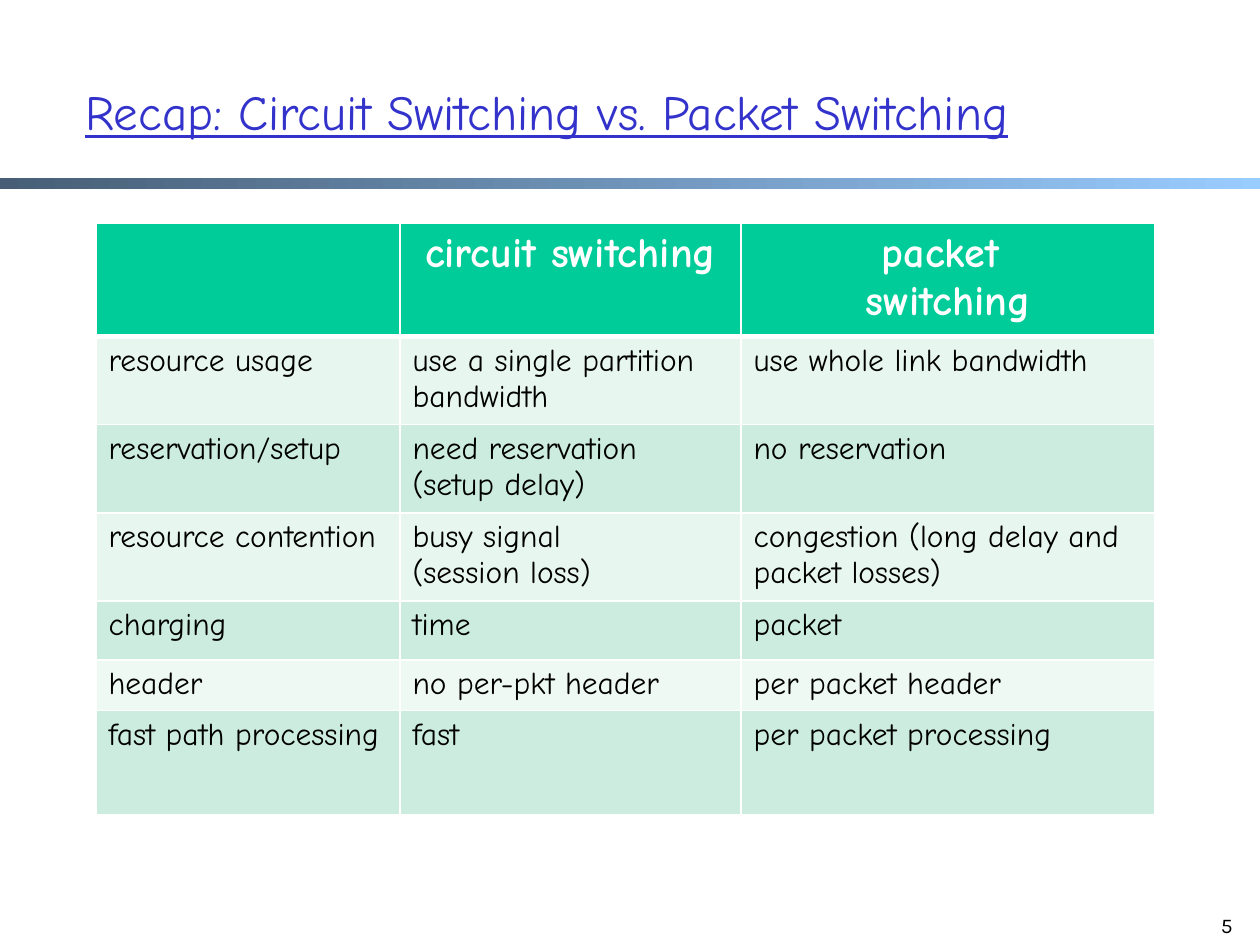
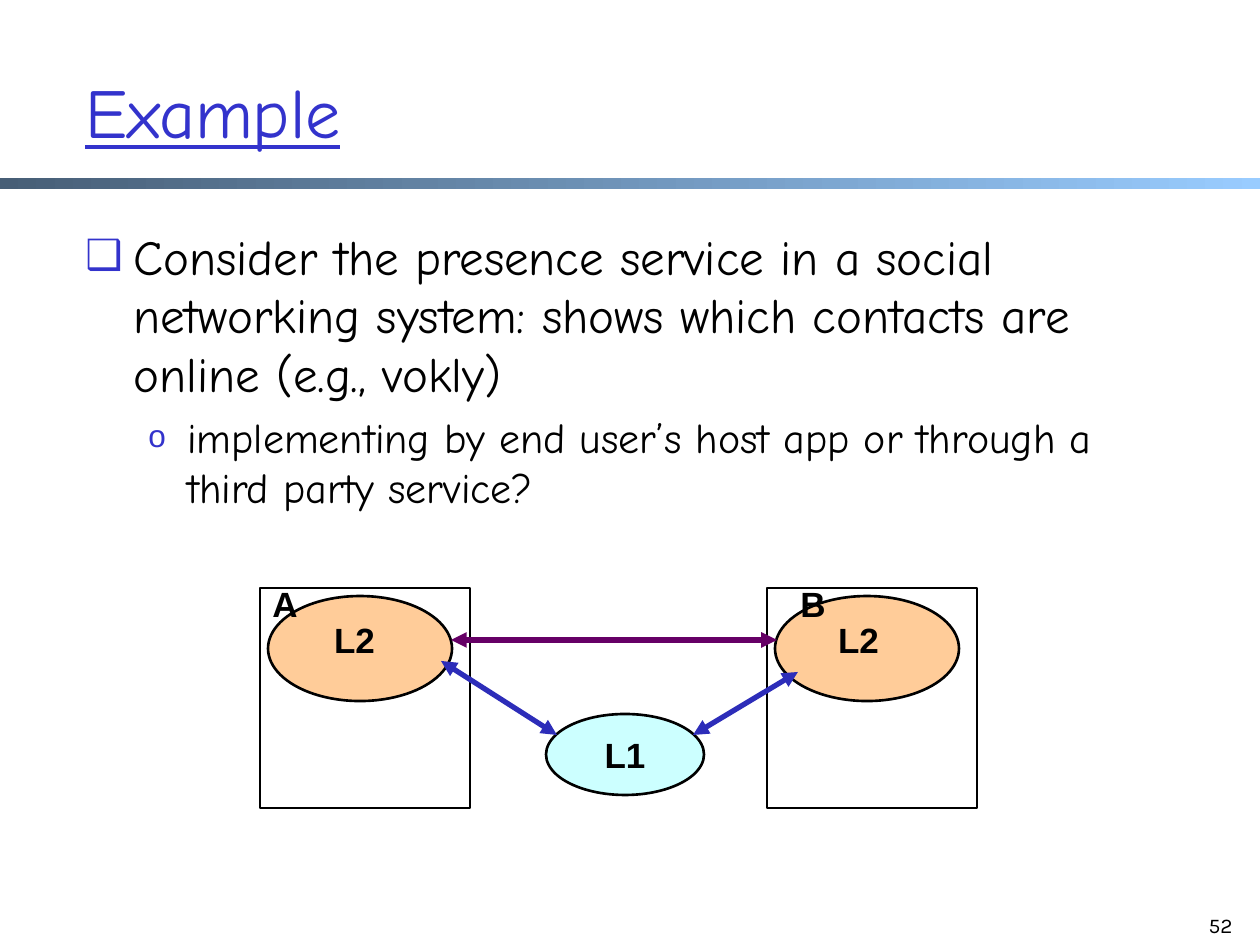
from dataclasses import dataclass

import pptx
import pptx.dml.color
import pptx.enum.shapes
import pptx.enum.text
import pptx.oxml.ns
import pptx.presentation
import pptx.shapes.autoshape
import pptx.slide
import pptx.table
import pptx.text.text
import pptx.util
from lxml import etree

RGB = pptx.dml.color.RGBColor
SHAPES = pptx.enum.shapes.MSO_SHAPE
ALIGN = pptx.enum.text.PP_ALIGN
ANCHOR = pptx.enum.text.MSO_ANCHOR
qn = pptx.oxml.ns.qn

EMU_PER_PX = 914400 / 126

BLACK = RGB(0x00, 0x00, 0x00)
WHITE = RGB(0xFF, 0xFF, 0xFF)
ACCENT = RGB(0x33, 0x33, 0xCC)
BAND_DARK = RGB(0x47, 0x5E, 0x76)
BAND_LIGHT = RGB(0x99, 0xCC, 0xFF)
HEADER_GREEN = RGB(0x00, 0xCC, 0x99)
PALE = RGB(0xE7, 0xF6, 0xEF)
MINT = RGB(0xCB, 0xEC, 0xDE)
PALEST = RGB(0xEE, 0xF9, 0xF4)
PEACH = RGB(0xFF, 0xCC, 0x99)
AQUA = RGB(0xCC, 0xFF, 0xFF)
LINK_BLUE = RGB(0x2D, 0x2D, 0xB9)
LINK_PURPLE = RGB(0x66, 0x00, 0x66)


@dataclass(frozen=True)
class Style:
    font: str
    size: int
    color: RGB = BLACK
    bold: bool = False
    underline: bool = False


@dataclass(frozen=True)
class Box:
    left: int
    top: int
    width: int
    height: int

    def shifted(self, dx: int) -> "Box":
        return Box(self.left + dx, self.top, self.width, self.height)

    def emu(self) -> tuple:
        return px(self.left), px(self.top), px(self.width), px(self.height)


@dataclass(frozen=True)
class Row:
    height: int
    fill: RGB
    texts: tuple


@dataclass(frozen=True)
class Bullet:
    text: str
    mark: str
    mark_percent: int
    size: int
    margin: int
    hang: int
    space_before: int


@dataclass(frozen=True)
class Host:
    name: str
    dx: int
    name_left: int
    layer_left: int


@dataclass(frozen=True)
class Link:
    start: tuple
    end: tuple
    color: RGB


HEADING = Style("Comic Neue", 24, WHITE, bold=True)
CELL = Style("Comic Neue", 18)
NODE = Style("Arial", 20, bold=True)
PAGE = Style("Karla", 12)

BAND_BOX = Box(0, 178, 1260, 11)
TITLE_BOX = Box(73, 32, 1071, 157)
PAGE_BOX = Box(1182, 906, 63, 38)
BODY_BOX = Box(73, 220, 1071, 640)
TABLE_LEFT, TABLE_TOP = 96, 223
COLUMN_WIDTHS = (304, 341, 414)

COMPARISON = (
    Row(113, HEADER_GREEN, ("", "circuit switching", "packet \nswitching")),
    Row(88, PALE, ("resource usage", "use a single partition bandwidth",
                   "use whole link bandwidth")),
    Row(88, MINT, ("reservation/setup", "need reservation \n(setup delay)",
                   "no reservation")),
    Row(88, PALE, ("resource contention", "busy signal \n(session loss)",
                   "congestion (long delay and packet losses)")),
    Row(59, MINT, ("charging", "time", "packet")),
    Row(50, PALEST, ("header", "no per-pkt header", "per packet header")),
    Row(104, MINT, ("fast path processing", "fast", "per packet processing")),
)

BULLETS = (
    Bullet("Consider the presence service in a social networking system: "
           "shows which contacts are online (e.g., vokly)",
           "❑", 85, 28, 48, 48, 0),
    Bullet("implementing by end user’s host app or through a third party service?",
           "o", 75, 24, 102, 39, 5),
)

HOST_BOX = Box(260, 588, 210, 220)
UPPER_LAYER_BOX = Box(268, 596, 184, 105)
LOWER_LAYER_BOX = Box(546, 714, 158, 81)
HOSTS = (Host("A", 0, 246, 301), Host("B", 507, 774, 805))
LINKS = (
    Link((441, 661), (557, 735), LINK_BLUE),
    Link((798, 672), (693, 735), LINK_BLUE),
    Link((451, 640), (777, 640), LINK_PURPLE),
)


def px(length: int) -> pptx.util.Emu:
    return pptx.util.Emu(round(length * EMU_PER_PX))


def write(paragraph: pptx.text.text._Paragraph, text: str, style: Style) -> None:
    """Add text as runs, with a line break at each newline."""
    for number, line in enumerate(text.split("\n")):
        if number:
            paragraph.add_line_break()
        run = paragraph.add_run()
        run.text = line
        run.font.name = style.font
        run.font.size = pptx.util.Pt(style.size)
        run.font.color.rgb = style.color
        run.font.bold = style.bold
        run.font.underline = style.underline


def add_text(slide: pptx.slide.Slide, box: Box, text: str, style: Style,
             align: ALIGN = ALIGN.LEFT, anchor: ANCHOR = ANCHOR.TOP) -> None:
    frame = slide.shapes.add_textbox(*box.emu()).text_frame
    frame.word_wrap = True
    frame.vertical_anchor = anchor
    frame.paragraphs[0].alignment = align
    write(frame.paragraphs[0], text, style)


def add_band(slide: pptx.slide.Slide) -> None:
    band = slide.shapes.add_shape(SHAPES.RECTANGLE, *BAND_BOX.emu())
    band.shadow.inherit = False
    band.line.fill.background()
    band.fill.gradient()
    band.fill.gradient_angle = 0
    for stop, color, position in zip(band.fill.gradient_stops,
                                     (BAND_DARK, BAND_LIGHT), (0, 1)):
        stop.color.rgb = color
        stop.position = position


def add_slide(deck: pptx.presentation.Presentation, title: str, title_size: int,
              page: int) -> pptx.slide.Slide:
    """Add a slide with the shared band, title and page number."""
    slide = deck.slides.add_slide(deck.slide_layouts[6])
    add_band(slide)
    add_text(slide, TITLE_BOX, title,
             Style("Comic Neue", title_size, ACCENT, underline=True),
             anchor=ANCHOR.MIDDLE)
    add_text(slide, PAGE_BOX, str(page), PAGE, ALIGN.RIGHT)
    return slide


def add_borders(cell: pptx.table._Cell, top: int, bottom: int) -> None:
    """Draw white borders, with top and bottom widths in points."""
    properties = cell._tc.get_or_add_tcPr()
    for side, points in (("L", 1), ("R", 1), ("T", top), ("B", bottom)):
        border = etree.SubElement(properties, qn(f"a:ln{side}"),
                                  w=str(pptx.util.Pt(points)))
        fill = etree.SubElement(border, qn("a:solidFill"))
        etree.SubElement(fill, qn("a:srgbClr"), val=str(WHITE))


def add_comparison(slide: pptx.slide.Slide) -> None:
    box = Box(TABLE_LEFT, TABLE_TOP, sum(COLUMN_WIDTHS),
              sum(row.height for row in COMPARISON))
    table = slide.shapes.add_table(len(COMPARISON), len(COLUMN_WIDTHS),
                                   *box.emu()).table
    table.horz_banding = False
    for column, width in zip(table.columns, COLUMN_WIDTHS):
        column.width = px(width)
    for index, row in enumerate(COMPARISON):
        table.rows[index].height = px(row.height)
        heading = index == 0
        for column, text in enumerate(row.texts):
            cell = table.cell(index, column)
            add_borders(cell, 3 if index == 1 else 1, 3 if heading else 1)
            cell.fill.solid()
            cell.fill.fore_color.rgb = row.fill
            if text:
                paragraph = cell.text_frame.paragraphs[0]
                paragraph.alignment = ALIGN.CENTER if heading else ALIGN.LEFT
                write(paragraph, text, HEADING if heading else CELL)


def add_bullets(slide: pptx.slide.Slide) -> None:
    frame = slide.shapes.add_textbox(*BODY_BOX.emu()).text_frame
    frame.word_wrap = True
    for index, bullet in enumerate(BULLETS):
        paragraph = frame.add_paragraph() if index else frame.paragraphs[0]
        properties = paragraph._p.get_or_add_pPr()
        properties.set("marL", str(px(bullet.margin)))
        properties.set("indent", str(-px(bullet.hang)))
        properties.set("lvl", str(index))
        color = etree.SubElement(properties, qn("a:buClr"))
        etree.SubElement(color, qn("a:srgbClr"), val=str(ACCENT))
        etree.SubElement(properties, qn("a:buSzPct"),
                         val=str(bullet.mark_percent * 1000))
        etree.SubElement(properties, qn("a:buFont"), typeface="Arial")
        etree.SubElement(properties, qn("a:buChar"), char=bullet.mark)
        paragraph.space_before = pptx.util.Pt(bullet.space_before)
        write(paragraph, bullet.text, Style("Comic Neue", bullet.size))


def add_outline(slide: pptx.slide.Slide, kind: SHAPES, box: Box,
                fill: RGB | None = None) -> pptx.shapes.autoshape.Shape:
    """Add a black-edged shape, unfilled unless a fill is given."""
    shape = slide.shapes.add_shape(kind, *box.emu())
    shape.shadow.inherit = False
    shape.line.color.rgb = BLACK
    shape.line.width = pptx.util.Pt(1.5)
    if fill is None:
        shape.fill.background()
    else:
        shape.fill.solid()
        shape.fill.fore_color.rgb = fill
    return shape


def add_link(slide: pptx.slide.Slide, link: Link) -> None:
    """Add a line with an arrowhead at both ends."""
    connector = slide.shapes.add_connector(
        pptx.enum.shapes.MSO_CONNECTOR.STRAIGHT,
        *(px(length) for length in link.start + link.end))
    connector.line.color.rgb = link.color
    connector.line.width = pptx.util.Pt(3)
    properties = connector.element.spPr
    for end in ("a:headEnd", "a:tailEnd"):
        etree.SubElement(properties.find(qn("a:ln")), qn(end), type="triangle")
    etree.SubElement(properties, qn("a:effectLst"))


def add_layers(slide: pptx.slide.Slide) -> None:
    """Draw two hosts joined directly and through the lower layer."""
    for host in HOSTS:
        add_outline(slide, SHAPES.OVAL, UPPER_LAYER_BOX.shifted(host.dx), PEACH)
        add_outline(slide, SHAPES.RECTANGLE, HOST_BOX.shifted(host.dx))
        add_text(slide, Box(host.name_left, 576, 78, 55), host.name, NODE,
                 ALIGN.CENTER)
        add_text(slide, Box(host.layer_left, 612, 107, 55), "L2", NODE,
                 ALIGN.CENTER)
    lower = add_outline(slide, SHAPES.OVAL, LOWER_LAYER_BOX, AQUA).text_frame
    lower.word_wrap = False
    lower.vertical_anchor = ANCHOR.MIDDLE
    lower.paragraphs[0].alignment = ALIGN.CENTER
    write(lower.paragraphs[0], "L1", NODE)
    for link in LINKS:
        add_link(slide, link)


def main() -> None:
    deck = pptx.Presentation()
    deck.slide_width, deck.slide_height = px(1260), px(945)
    add_comparison(add_slide(
        deck, "Recap: Circuit Switching vs. Packet Switching", 28, 5))
    example = add_slide(deck, "Example", 40, 52)
    add_bullets(example)
    add_layers(example)
    deck.save("out.pptx")


if __name__ == "__main__":
    main()
